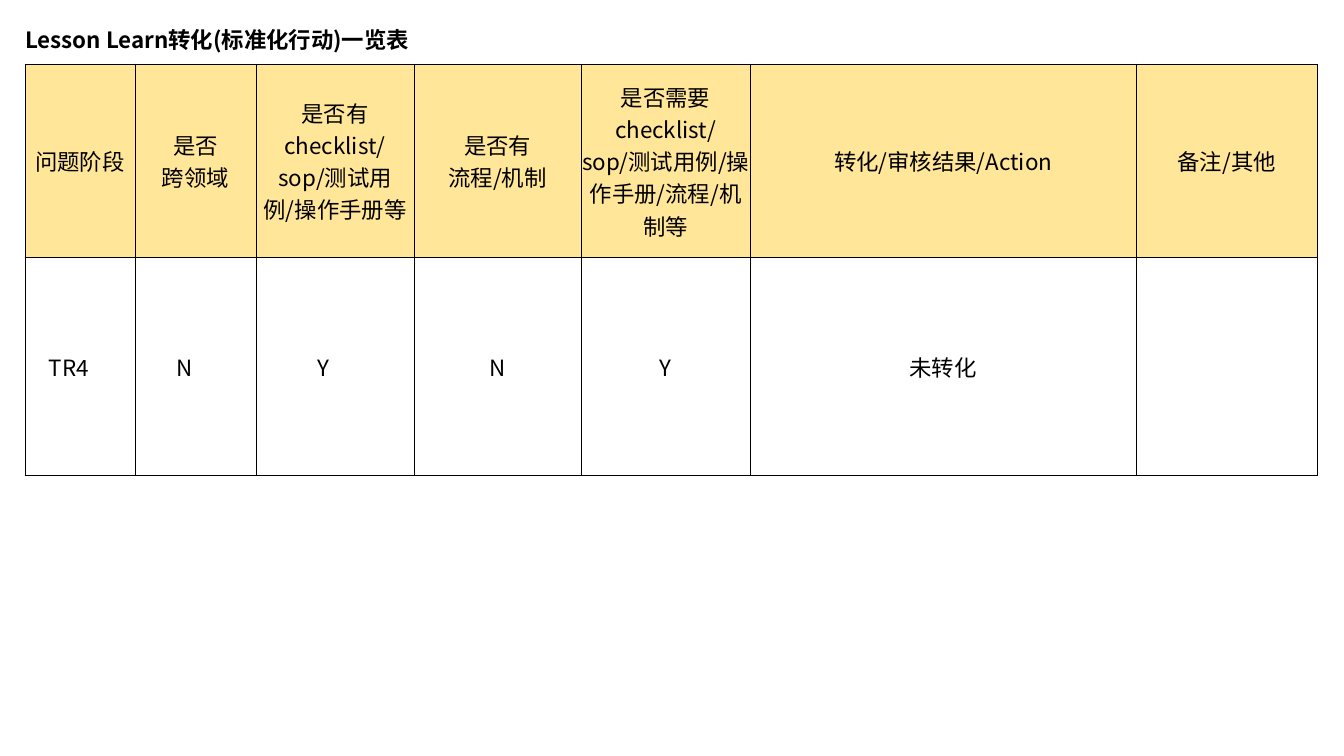
from dataclasses import dataclass

from lxml.etree import SubElement
from pptx import Presentation
from pptx.dml.color import RGBColor
from pptx.enum.text import MSO_ANCHOR, PP_ALIGN
from pptx.oxml.ns import qn
from pptx.table import Table, _Cell
from pptx.util import Emu, Inches, Pt

FONT = "Noto Sans CJK SC"
BLACK = "000000"
HEADER_FILL = "FFE699"
ALL_SIDES = "LRTB"


@dataclass(frozen=True)
class Column:
    width: int
    header: str
    value: str


@dataclass(frozen=True)
class RowStyle:
    height: int
    sides: str
    align: PP_ALIGN = PP_ALIGN.CENTER
    fill: str = ""
    bold: bool = False


TITLE = "Lesson Learn转化(标准化行动)一览表"
COLUMNS = [
    Column(110, "问题阶段", "TR4　"),
    Column(121, "是否\n跨领域", "N　"),
    Column(158, "是否有checklist/sop/测试用例/操作手册等", "Y　"),
    Column(167, "是否有\n流程/机制", "N"),
    Column(169, "是否需要checklist/sop/测试用例/操作手册/流程/机制等", "Y"),
    Column(386, "转化/审核结果/Action", "未转化"),
    Column(181, "备注/其他", ""),
]
TITLE_ROW = RowStyle(51, "B", PP_ALIGN.LEFT, bold=True)
HEADER_ROW = RowStyle(127, ALL_SIDES, fill=HEADER_FILL)
VALUE_ROW = RowStyle(218, ALL_SIDES)


def px(length: int) -> Emu:
    return Emu(round(length * 914400 / 100.8))


def color(hex_code: str) -> RGBColor:
    return RGBColor.from_string(hex_code)


def set_borders(cell: _Cell, visible_sides: str) -> None:
    properties = cell._tc.get_or_add_tcPr()
    for side in ALL_SIDES:
        border = SubElement(properties, qn(f"a:ln{side}"), w=str(Pt(0.5)))
        if side in visible_sides:
            solid = SubElement(border, qn("a:solidFill"))
            SubElement(solid, qn("a:srgbClr"), val=BLACK)
        else:
            SubElement(border, qn("a:noFill"))


def fill_cell(cell: _Cell, text: str, style: RowStyle) -> None:
    set_borders(cell, style.sides)
    if style.fill:
        cell.fill.solid()
        cell.fill.fore_color.rgb = color(style.fill)
    else:
        cell.fill.background()
    cell.margin_left = cell.margin_right = cell.margin_top = cell.margin_bottom = 0
    cell.vertical_anchor = MSO_ANCHOR.MIDDLE
    cell.text_frame.text = text
    for paragraph in cell.text_frame.paragraphs:
        paragraph.alignment = style.align
        font = paragraph.font
        font.size = Pt(16)
        font.bold = style.bold
        font.color.rgb = color(BLACK)
        font.name = FONT
        SubElement(font._element, qn("a:ea"), typeface=FONT)


def fill_row(table: Table, index: int, texts: list[str], style: RowStyle) -> None:
    table.rows[index].height = px(style.height)
    for column, text in enumerate(texts):
        fill_cell(table.cell(index, column), text, style)


def main() -> None:
    presentation = Presentation()
    presentation.slide_width = Inches(13.33)
    presentation.slide_height = Inches(7.5)
    slide = presentation.slides.add_slide(presentation.slide_layouts[6])

    rows = [
        ([TITLE] + [""] * (len(COLUMNS) - 1), TITLE_ROW),
        ([column.header for column in COLUMNS], HEADER_ROW),
        ([column.value for column in COLUMNS], VALUE_ROW),
    ]
    width = sum(column.width for column in COLUMNS)
    height = sum(style.height for _, style in rows)
    lessons = slide.shapes.add_table(
        len(rows), len(COLUMNS), px(25), px(13), px(width), px(height)
    ).table
    lessons.first_row = False
    lessons.horz_banding = False
    for index, column in enumerate(COLUMNS):
        lessons.columns[index].width = px(column.width)
    for index, (texts, style) in enumerate(rows):
        fill_row(lessons, index, texts, style)
    lessons.cell(0, 0).merge(lessons.cell(0, len(COLUMNS) - 1))

    presentation.save("out.pptx")


if __name__ == "__main__":
    main()
